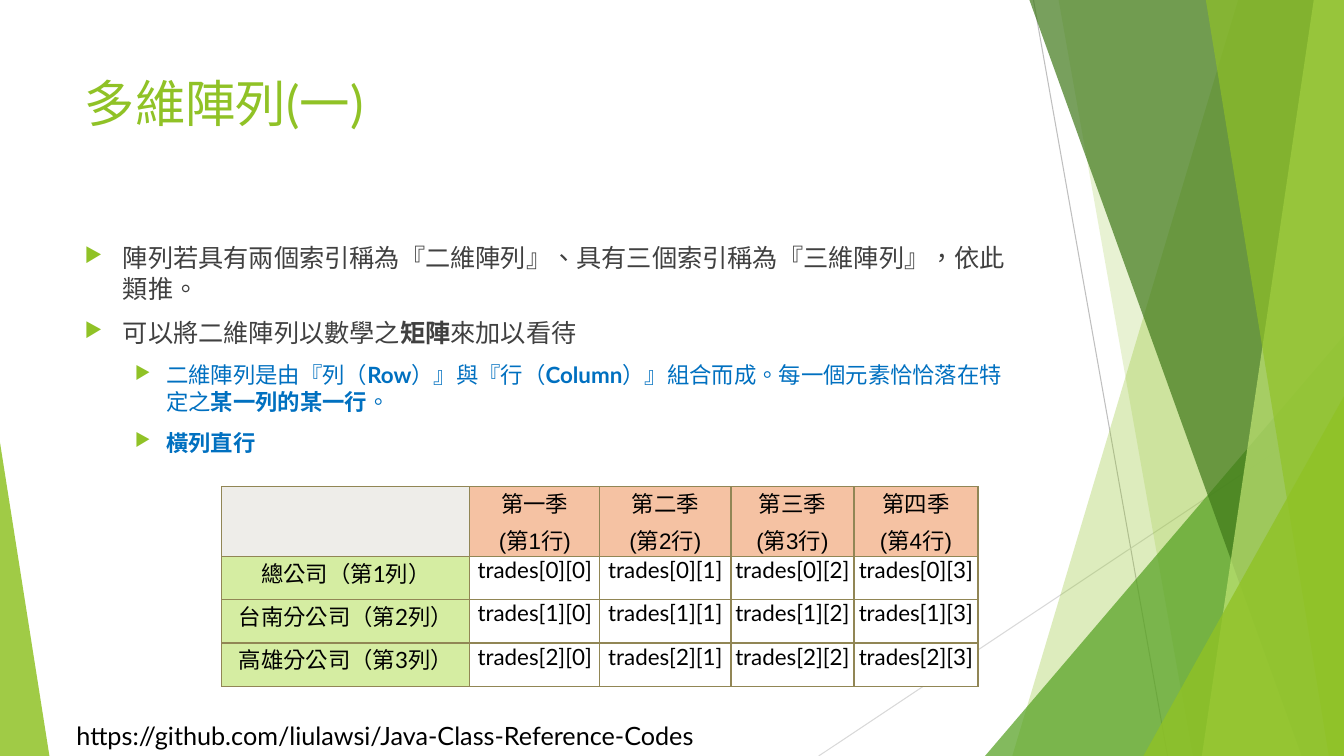
from dataclasses import dataclass

from lxml.etree import SubElement
from pptx import Presentation
from pptx.dml.color import RGBColor
from pptx.enum.shapes import MSO_CONNECTOR, MSO_SHAPE
from pptx.enum.text import MSO_ANCHOR, MSO_AUTO_SIZE, PP_ALIGN
from pptx.oxml import parse_xml
from pptx.oxml.ns import nsdecls, qn
from pptx.util import Inches, Pt

WIDTH, HEIGHT = 13.33, 7.5


@dataclass(frozen=True)
class Theme:
    green: str = "90C226"
    mid_green: str = "54A021"
    dark_green: str = "3F7819"
    pale_green: str = "C0E474"
    line: str = "BFBFBF"
    light_line: str = "D9D9D9"
    text: str = "404040"
    detail: str = "0070C0"
    black: str = "000000"
    corner_fill: str = "EEEDE9"
    quarter_fill: str = "F5C2A3"
    branch_fill: str = "D5EDA2"
    cell_fill: str = "FFFFFF"
    border: str = "918655"
    font: str = "Lato"
    number_font: str = "Arial"
    language: str = "zh-TW"
    title_size: int = 36
    body_size: int = 18
    small_size: int = 16


THEME = Theme()

# Text level: left indent, hanging indent, size, colour
LEVELS = [
    (0.38, 0.38, THEME.body_size, THEME.text),
    (0.81, 0.31, THEME.small_size, THEME.detail),
]
# Text between double asterisks is bold
BULLETS = [
    (0, "陣列若具有兩個索引稱為『二維陣列』、具有三個索引稱為『三維陣列』，依此類推。"),
    (0, "可以將二維陣列以數學之**矩陣**來加以看待"),
    (1, "二維陣列是由『列（**Row**）』與『行（**Column**）』組合而成。"
        "每一個元素恰恰落在特定之**某一列的某一行**。"),
    (1, "**橫列直行**"),
]
QUARTERS = ["第一季", "第二季", "第三季", "第四季"]
BRANCHES = ["總公司", "台南分公司", "高雄分公司"]
COLUMN_WIDTHS = [2.46, 1.29, 1.3, 1.22, 1.23]
# The heading row holds two lines of text
ROW_HEIGHTS = [0.69, 0.43, 0.43, 0.43]


def format_run(run, size, colour, font=THEME.font, bold=False):
    run.font.name = font
    run.font.size = Pt(size)
    run.font.bold = bold
    run.font.color.rgb = RGBColor.from_string(colour)
    run._r.get_or_add_rPr().set("lang", THEME.language)


def paint(shape, colour, opacity):
    shape.shadow.inherit = False
    shape.line.fill.background()
    shape.fill.solid()
    shape.fill.fore_color.rgb = RGBColor.from_string(colour)
    colour_element = shape.fill._xPr.find(qn("a:solidFill"))[0]
    SubElement(colour_element, qn("a:alpha"), val=str(opacity * 1000))


def add_thin_line(slide, start, end, colour):
    connector = slide.shapes.add_connector(
        MSO_CONNECTOR.STRAIGHT, *map(Inches, start + end))
    connector.line.width = Pt(0.75)
    connector.line.color.rgb = RGBColor.from_string(colour)
    SubElement(connector._element.spPr, qn("a:effectLst"))


def add_panel(slide, top_x, bottom_x, colour, opacity):
    """Full-height panel with a slanted left edge, ending at the right side."""
    builder = slide.shapes.build_freeform(Inches(top_x), 0)
    corners = [(WIDTH, 0), (WIDTH, HEIGHT), (bottom_x, HEIGHT)]
    builder.add_line_segments([(Inches(x), Inches(y)) for x, y in corners])
    paint(builder.convert_to_shape(), colour, opacity)


def add_wedge(slide, left, top, width, apex, colour, opacity):
    """Triangle that stands on the bottom edge of the slide."""
    wedge = slide.shapes.add_shape(
        MSO_SHAPE.ISOSCELES_TRIANGLE,
        *map(Inches, (left, top, width, HEIGHT - top)))
    wedge.adjustments[0] = apex
    paint(wedge, colour, opacity)


def add_decoration(slide):
    add_thin_line(slide, (10.25, 0), (11.58, HEIGHT), THEME.line)
    add_thin_line(slide, (WIDTH, 4.03), (8.12, HEIGHT), THEME.light_line)
    add_panel(slide, 12.28, 10.04, THEME.green, 30)
    add_panel(slide, 10.5, 11.83, THEME.green, 20)
    add_wedge(slide, 9.77, 3.33, 3.56, 1, THEME.mid_green, 72)
    add_panel(slide, 10.21, 12.91, THEME.dark_green, 70)
    add_panel(slide, 13.03, 11.92, THEME.pale_green, 70)
    add_panel(slide, 11.96, 13.18, THEME.green, 65)
    add_wedge(slide, 11.34, 3.93, 1.99, 1, THEME.green, 80)
    add_wedge(slide, 0, 4.39, 0.49, 0, THEME.green, 85)


def set_title(slide, text):
    title = slide.shapes.title
    title.left, title.top = Inches(0.74), Inches(0.67)
    title.width, title.height = Inches(9.4), Inches(1.44)
    frame = title.text_frame
    frame.text = text
    frame.auto_size = MSO_AUTO_SIZE.NONE
    frame.vertical_anchor = MSO_ANCHOR.TOP
    frame.paragraphs[0].alignment = PP_ALIGN.LEFT
    format_run(frame.paragraphs[0].runs[0], THEME.title_size, THEME.green)


def add_web_address(slide, text):
    box = slide.shapes.add_textbox(*map(Inches, (0.66, 7.1, 6.7, 0.4)))
    box.text_frame.text = text
    box.text_frame.word_wrap = False
    format_run(box.text_frame.paragraphs[0].runs[0], THEME.body_size, THEME.black)


def set_bullet(paragraph, indent, hanging):
    properties = paragraph._p.get_or_add_pPr()
    properties.set("marL", str(Inches(indent)))
    properties.set("indent", str(-Inches(hanging)))
    colour = SubElement(properties, qn("a:buClr"))
    SubElement(colour, qn("a:srgbClr"), val=THEME.green)
    SubElement(properties, qn("a:buSzPct"), val="80000")
    SubElement(properties, qn("a:buChar"), char="▶")


def add_bullets(slide, bullets):
    box = slide.shapes.add_textbox(*map(Inches, (0.74, 2.36, 9.4, 4.24)))
    frame = box.text_frame
    frame.word_wrap = True
    for index, (level, text) in enumerate(bullets):
        paragraph = frame.add_paragraph() if index else frame.paragraphs[0]
        indent, hanging, size, colour = LEVELS[level]
        paragraph.level = level
        set_bullet(paragraph, indent, hanging)
        if index:
            paragraph.space_before = Pt(10)
        for part, words in enumerate(text.split("**")):
            if words:
                run = paragraph.add_run()
                run.text = words
                format_run(run, size, colour, bold=part % 2 == 1)


def fill_cell(cell, text, fill):
    cell.fill.solid()
    cell.fill.fore_color.rgb = RGBColor.from_string(fill)
    for index, side in enumerate(("lnL", "lnR", "lnT", "lnB")):
        cell._tc.tcPr.insert(index, parse_xml(
            f'<a:{side} {nsdecls("a")} w="{Pt(1)}"><a:solidFill>'
            f'<a:srgbClr val="{THEME.border}"/></a:solidFill></a:{side}>'))
    cell.margin_left = cell.margin_right = Inches(0.02)
    cell.margin_top = cell.margin_bottom = 0
    cell.text_frame.text = text
    for index, paragraph in enumerate(cell.text_frame.paragraphs):
        paragraph.alignment = PP_ALIGN.CENTER
        if index:
            paragraph.space_before = Pt(3)
        for run in paragraph.runs:
            font = THEME.number_font if index else THEME.font
            format_run(run, THEME.small_size, THEME.black, font)


def add_trades_table(slide):
    size = sum(COLUMN_WIDTHS), sum(ROW_HEIGHTS)
    table = slide.shapes.add_table(
        len(ROW_HEIGHTS), len(COLUMN_WIDTHS), *map(Inches, (2.2, 4.83) + size)).table
    table.first_row = table.horz_banding = False
    for column, width in zip(table.columns, COLUMN_WIDTHS):
        column.width = Inches(width)
    for row, height in zip(table.rows, ROW_HEIGHTS):
        row.height = Inches(height)
    # Headings, then one trade for each branch and quarter
    fill_cell(table.cell(0, 0), "", THEME.corner_fill)
    for column, quarter in enumerate(QUARTERS, 1):
        fill_cell(table.cell(0, column), f"{quarter}\n(第{column}行)", THEME.quarter_fill)
    for row, branch in enumerate(BRANCHES, 1):
        fill_cell(table.cell(row, 0), f"{branch}（第{row}列）", THEME.branch_fill)
        for column in range(1, len(COLUMN_WIDTHS)):
            fill_cell(table.cell(row, column),
                      f"trades[{row - 1}][{column - 1}]", THEME.cell_fill)


def main():
    presentation = Presentation()
    presentation.slide_width, presentation.slide_height = Inches(WIDTH), Inches(HEIGHT)
    slide = presentation.slides.add_slide(presentation.slide_layouts[5])
    add_decoration(slide)
    add_web_address(slide, "https://github.com/liulawsi/Java-Class-Reference-Codes")
    set_title(slide, "多維陣列(一)")
    add_bullets(slide, BULLETS)
    add_trades_table(slide)
    presentation.save("out.pptx")


if __name__ == "__main__":
    main()
